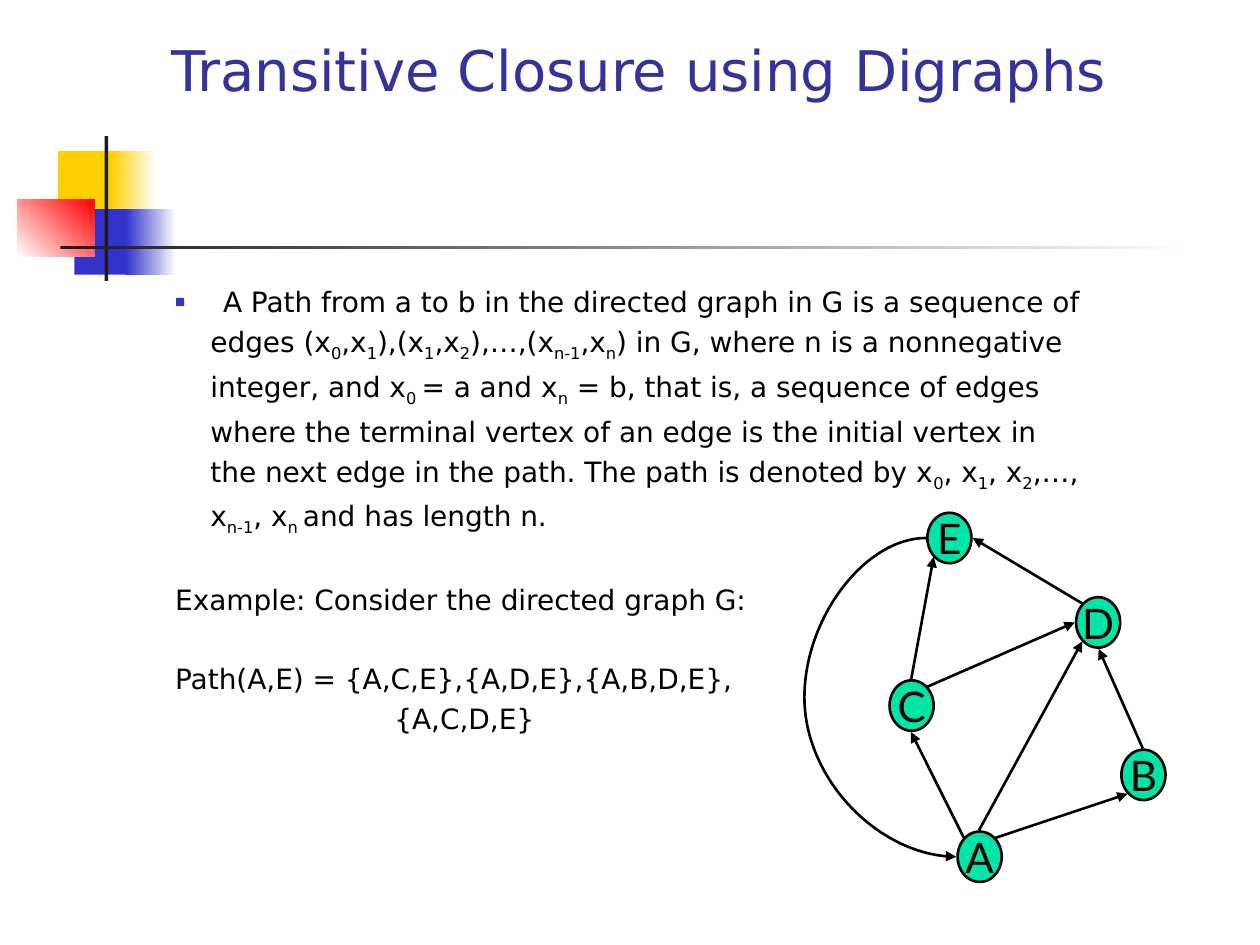
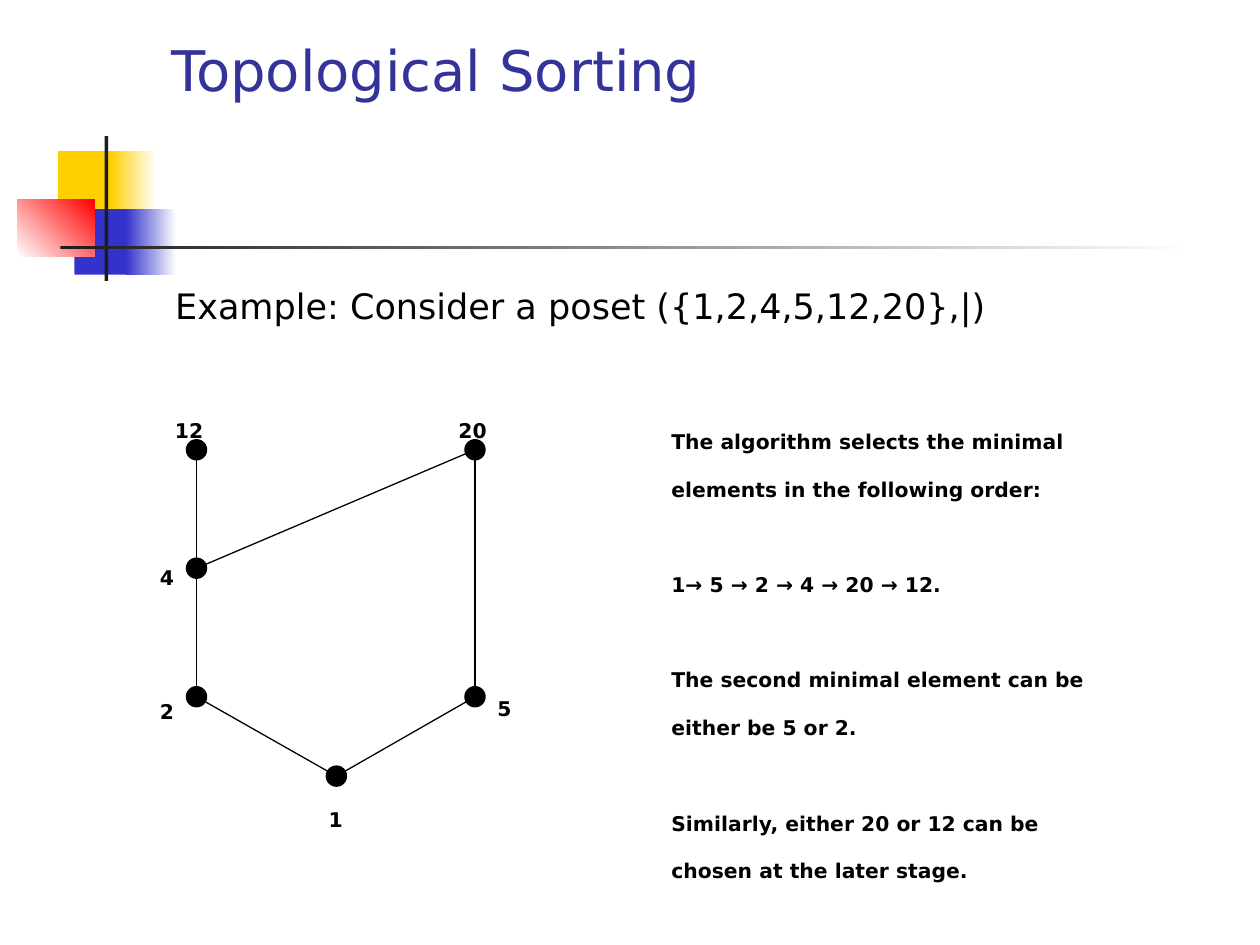
from lxml import etree
from pptx import Presentation
from pptx.dml.color import RGBColor
from pptx.enum.shapes import MSO_CONNECTOR as Connector, MSO_SHAPE as Shape
from pptx.enum.text import MSO_ANCHOR as Anchor, MSO_AUTO_SIZE as AutoSize, PP_ALIGN as Align
from pptx.oxml.ns import qn
from pptx.util import Inches, Pt

COLORS = {
    "title": "333399", "text": "000000", "paper": "FFFFFF", "node": "00E4A8",
    "yellow": "FFCF01", "blue": "3333CC", "red": "FF0000", "bar": "1C1C1C",
}
FONT, NODE_FONT = "DejaVu Sans", "Lato"
LINE_GAP = 3.7  # space before each body line, in points


def rgb(name):
    return RGBColor.from_string(COLORS[name])


def add_xml(parent, tag, **attributes):
    return etree.SubElement(parent, qn(tag), attributes)


# Text
def write(paragraph, text, size=16, color="text", font=FONT, bold=False,
          baseline=0, align=Align.LEFT, before=0):
    """Write text in a paragraph; parts between underscores become subscripts."""
    paragraph.alignment = align
    paragraph.space_before = Pt(before)
    for index, part in enumerate(text.split("_")):
        if not part:
            continue
        run = paragraph.add_run()
        run.text = part
        run.font.size, run.font.name, run.font.bold = Pt(size), font, bold
        run.font.color.rgb = rgb(color)
        shift = -25 if index % 2 else baseline
        if shift:
            run._r.get_or_add_rPr().set("baseline", str(shift * 1000))


def next_paragraph(frame):
    first = frame.paragraphs[0]
    return frame.add_paragraph() if first.runs else first


def set_indent(paragraph, margin=0, hanging=0, bullet=False):
    properties = paragraph._p.get_or_add_pPr()
    properties.set("marL", str(Inches(margin)))
    properties.set("indent", str(-Inches(hanging)))
    if bullet:
        add_xml(add_xml(properties, "a:buClr"), "a:srgbClr", val=COLORS["blue"])
        add_xml(properties, "a:buSzPct", val="60000")
        add_xml(properties, "a:buChar", char="■")
    else:
        add_xml(properties, "a:buNone")


def place(shape, left, top, width, height):
    shape.left, shape.top = Inches(left), Inches(top)
    shape.width, shape.height = Inches(width), Inches(height)
    frame = shape.text_frame
    frame.word_wrap, frame.auto_size = True, AutoSize.NONE
    frame.vertical_anchor = Anchor.TOP
    return frame


def add_text_box(slide, left, top, width, height, wrap=False):
    frame = slide.shapes.add_textbox(
        Inches(left), Inches(top), Inches(width), Inches(height)).text_frame
    frame.word_wrap, frame.auto_size = wrap, AutoSize.SHAPE_TO_FIT_TEXT
    return frame


# Shapes and lines
def add_shape(slide, kind, left, top, width, height, fill, fade_to=None,
              angle=0, line_width=0):
    shape = slide.shapes.add_shape(
        kind, Inches(left), Inches(top), Inches(width), Inches(height))
    shape.shadow.inherit = False
    if fade_to:
        shape.fill.gradient()
        shape.fill.gradient_angle = angle
        for stop, color in zip(shape.fill.gradient_stops, (fill, fade_to)):
            stop.color.rgb = rgb(color)
    else:
        shape.fill.solid()
        shape.fill.fore_color.rgb = rgb(fill)
    if line_width:
        shape.line.color.rgb = rgb("text")
        shape.line.width = Pt(line_width)
    else:
        shape.line.fill.background()
    return shape


def add_line(slide, start, end, width, arrow=False, bend=None):
    """Draw a straight line, or a curve whose bend is a share of its width."""
    kind = Connector.STRAIGHT if bend is None else Connector.CURVE
    line = slide.shapes.add_connector(kind, *map(Inches, start + end))
    line.line.color.rgb = rgb("text")
    line.line.width = Pt(width)
    properties = line._element.spPr
    if arrow:
        add_xml(line.line._get_or_add_ln(), "a:tailEnd", type="triangle")
    if bend is not None:
        guides = properties.find(qn("a:prstGeom")).get_or_add_avLst()
        add_xml(guides, "a:gd", name="adj1", fmla=f"val {round(bend * 100000)}")
    add_xml(properties, "a:effectLst")


def add_node(slide, letter, left, top):
    node = add_shape(slide, Shape.OVAL, left, top, 0.35, 0.4, "node", line_width=1.5)
    frame = node.text_frame
    frame.word_wrap, frame.vertical_anchor = False, Anchor.MIDDLE
    write(frame.paragraphs[0], letter, size=24, font=NODE_FONT, align=Align.CENTER)


# Shared decoration, drawn once and moved to the layout
def decorate_layout(slide):
    blocks = [
        (0.46, 1.2, 0.48, 0.52, "yellow"),
        (0.88, 1.2, 0.36, 0.52, "yellow", "paper"),
        (0.59, 1.66, 0.46, 0.52, "blue"),
        (1, 1.66, 0.4, 0.52, "blue", "paper"),
        (0.14, 1.58, 0.61, 0.46, "paper", "red", 45),
        (0.83, 1.08, 0.03, 1.15, "bar"),
        (0.48, 1.95, 9, 0.03, "bar", "paper"),
    ]
    layout_tree = slide.slide_layout.shapes._spTree
    for block in blocks:
        layout_tree.append(add_shape(slide, Shape.RECTANGLE, *block)._element)


def add_slide(presentation, title, body_width, body_height):
    slide = presentation.slides.add_slide(presentation.slide_layouts[1])
    frame = place(slide.shapes.title, 1.26, 0.23, 8.52, 1.6)
    write(frame.paragraphs[0], title, size=32, color="title")
    return slide, place(slide.placeholders[1], 1.29, 2.21, body_width, body_height)


def build_closure_slide(presentation):
    slide, body = add_slide(presentation, "Transitive Closure using Digraphs", 8.21, 4.5)
    decorate_layout(slide)

    # Definition of a path
    definition = [
        "A Path from a to b in the directed graph in G is a sequence of",
        "edges (x_0_,x_1_),(x_1_,x_2_),…,(x_n-1_,x_n_) in G, where n is a nonnegative",
        "integer, and x_0 _= a and x_n_ = b, that is, a sequence of edges",
        "where the terminal vertex of an edge is the initial vertex in",
        "the next edge in the path. The path is denoted by x_0_, x_1_, x_2_,…,",
        "x_n-1_, x_n _and has length n.",
    ]
    for index, text in enumerate(definition):
        paragraph = next_paragraph(body)
        write(paragraph, text, before=LINE_GAP)
        if index == 0:
            set_indent(paragraph, margin=0.38, hanging=0.38, bullet=True)
        else:
            set_indent(paragraph, margin=0.28)

    # Example
    for text, margin, before in [
        ("Example: Consider the directed graph G:", 0, 26),
        ("Path(A,E) = {A,C,E},{A,D,E},{A,B,D,E},", 0, 26),
        ("{A,C,D,E}", 1.74, LINE_GAP),
    ]:
        paragraph = next_paragraph(body)
        write(paragraph, text, before=before)
        set_indent(paragraph, margin=margin)

    # Directed graph
    nodes = {"A": (7.6, 6.6), "C": (7.06, 5.4), "E": (7.36, 4.07),
             "B": (8.9, 5.95), "D": (8.54, 4.74)}
    for letter, corner in nodes.items():
        add_node(slide, letter, *corner)
    edges = [
        ((7.65, 6.65), (7.23, 5.81)),  # A to C
        ((7.9, 6.65), (8.95, 6.3)),    # A to B
        ((7.23, 5.4), (7.41, 4.42)),   # C to E
        ((8.59, 4.79), (7.72, 4.27)),  # D to E
        ((9.07, 5.94), (8.72, 5.15)),  # B to D
        ((7.77, 6.59), (8.59, 5.09)),  # A to D
        ((7.36, 5.45), (8.53, 4.94)),  # C to D
    ]
    for start, end in edges:
        add_line(slide, start, end, 1.5, arrow=True)
    add_line(slide, (7.35, 4.27), (7.59, 6.8), 1.5, arrow=True, bend=-4.02)  # E to A


def build_sorting_slide(presentation):
    slide, body = add_slide(presentation, "Topological Sorting", 8.5, 0.96)
    paragraph = body.paragraphs[0]
    write(paragraph, "Example: Consider a poset ({1,2,4,5,12,20},|)", size=20, before=4.7)
    set_indent(paragraph)

    # Hasse diagram: centre of each dot and corner of its label
    left, right, dot = 1.56, 3.77, 0.16
    elements = {
        "12": ((left, 3.57), (1.29, 3.08)),
        "20": ((right, 3.57), (3.54, 3.08)),
        "4": ((left, 4.51), (1.17, 4.25)),
        "5": ((right, 5.53), (3.85, 5.29)),
        "2": ((left, 5.53), (1.17, 5.31)),
        "1": ((2.67, 6.16), (2.51, 6.17)),
    }
    for number, ((x, y), corner) in elements.items():
        add_shape(slide, Shape.OVAL, x - dot / 2, y - dot / 2, dot, dot, "text",
                  line_width=0.75)
        label = add_text_box(slide, *corner, 0.2 + 0.13 * len(number), 0.32)
        write(label.paragraphs[0], number, size=20, bold=True, baseline=-25)
    for lower, upper in [("2", "12"), ("5", "20"), ("1", "5"), ("1", "2"), ("4", "20")]:
        add_line(slide, elements[lower][0], elements[upper][0], 0.75)

    # Explanation
    explanation = add_text_box(slide, 5.23, 3.17, 3.52, 2.7, wrap=True)
    for index, text in enumerate([
        "The algorithm selects the minimal elements in the following order:",
        "1→ 5 → 2 → 4 → 20 → 12.",
        "The second minimal element can be either be 5 or 2.",
        "Similarly, either 20 or 12 can be chosen at the later stage.",
    ]):
        write(next_paragraph(explanation), text, size=20, bold=True, baseline=-25,
              before=27.2 if index else 0)


def main():
    presentation = Presentation()
    presentation.slide_width, presentation.slide_height = Inches(10), Inches(7.5)
    build_closure_slide(presentation)
    build_sorting_slide(presentation)
    presentation.save("out.pptx")


if __name__ == "__main__":
    main()
